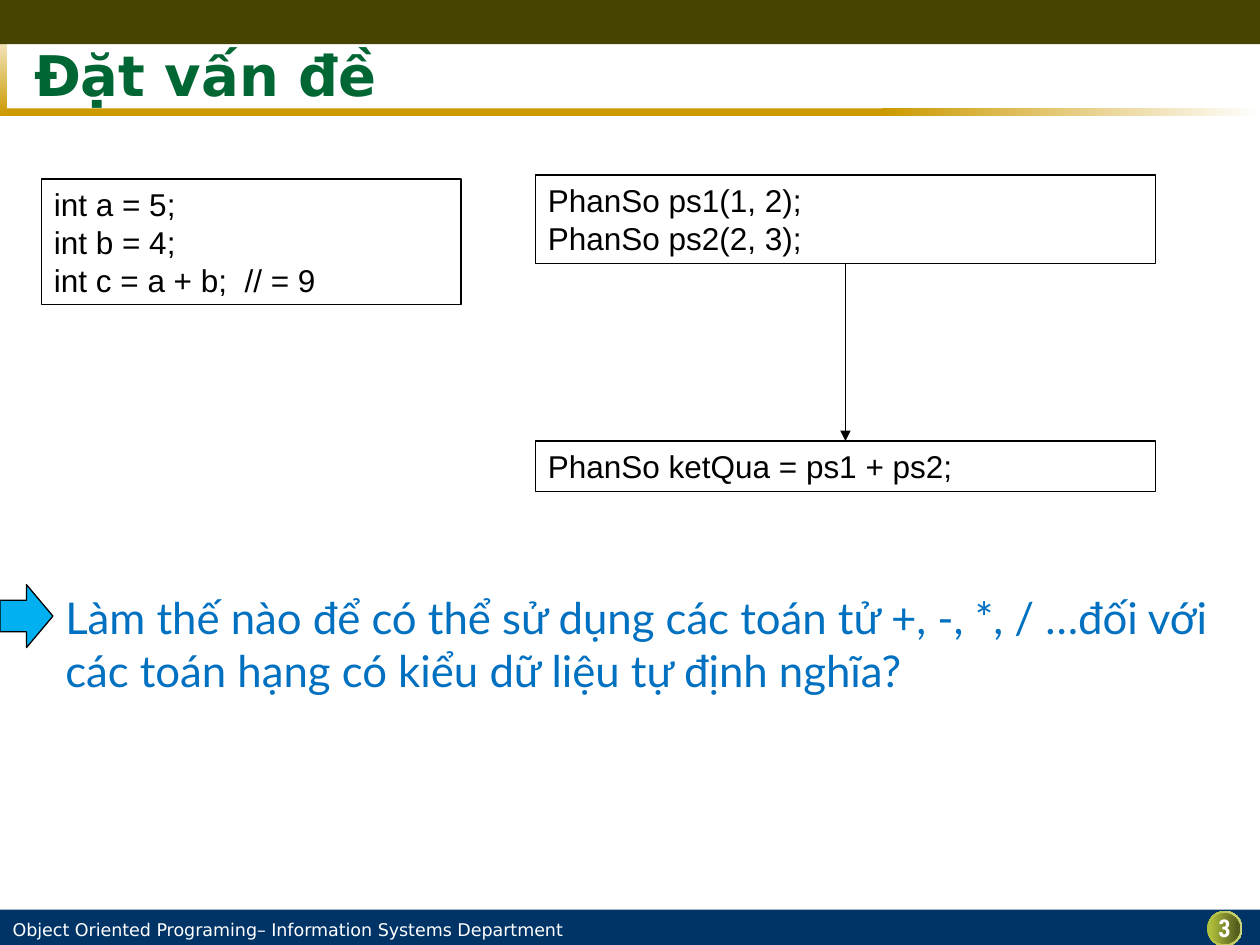
"""Build the slide that asks how operators can work on user-defined types."""
from lxml.etree import SubElement
from pptx import Presentation
from pptx.dml.color import RGBColor
from pptx.enum.shapes import MSO_CONNECTOR, MSO_SHAPE
from pptx.enum.text import MSO_ANCHOR, PP_ALIGN
from pptx.oxml.ns import qn
from pptx.util import Inches, Pt

WIDTH, HEIGHT = 10, 7.5
TITLE = "Đặt vấn đề"
FOOTER = "Object Oriented Programing– Information Systems Department"
NUMBER = "3"
QUESTION = ("Làm thế nào để có thể sử dụng các toán tử +, -, *, / …đối với "
            "các toán hạng có kiểu dữ liệu tự định nghĩa?")
CODE = {
    "integers": (["int a = 5;", "int b = 4;", "int c = a + b;  // = 9"], (0.33, 1.42, 3.33, 1)),
    "fractions": (["PhanSo ps1(1, 2);", "PhanSo ps2(2, 3);"], (4.25, 1.39, 4.92, 0.7)),
    "result": (["PhanSo ketQua = ps1 + ps2;"], (4.25, 3.5, 4.92, 0.4)),
}

RULE_TOP, RULE_HEIGHT, RULE_SPLIT = 0.86, 0.06, 0.7 * WIDTH
FOOTER_HEIGHT = 0.28
QUESTION_TOP, QUESTION_LEFT = 4.64, 0.42
GOLD, WHITE, BLACK, OLIVE = "CC9900", "FFFFFF", "000000", "AFBE3C"
BANDS = [
    ((0, RULE_TOP, RULE_SPLIT, RULE_HEIGHT), [GOLD], 0),
    ((0, 0.13, 0.06, 0.79), [WHITE, GOLD], 270),
    ((RULE_SPLIT, RULE_TOP, WIDTH - RULE_SPLIT, RULE_HEIGHT), [GOLD, WHITE], 0),
    ((0, 0, WIDTH, 0.35), ["464400"], 0),
    ((0, HEIGHT - FOOTER_HEIGHT, WIDTH, FOOTER_HEIGHT), ["003366"], 0),
]
BADGE_CENTER = (9.72, 7.37)
BADGE_RINGS = [(0.28, WHITE), (0.28, "CAD47D"), (0.24, "5F6720"),
               (0.24, "555C1D"), (0.22, "51581C")]

CODE_FONT = {"name": "Arial", "size": Pt(18)}
TITLE_FONT = {"name": "DejaVu Sans", "size": Pt(32), "bold": True}
FOOTER_FONT = {"name": "DejaVu Sans", "size": Pt(10)}
NUMBER_FONT = {"name": "Roboto Condensed", "size": Pt(14), "bold": True}
QUESTION_FONT = {"name": "Lato", "size": Pt(25)}


def rgb(value):
    return RGBColor.from_string(value)


def inches(values):
    return [Inches(value) for value in values]


def add_figure(page, kind, place, colors=(), angle=0, outline=None):
    figure = page.shapes.add_shape(kind, *inches(place))
    figure.shadow.inherit = False
    if len(colors) == 2:
        figure.fill.gradient()
        figure.fill.gradient_angle = angle
        for stop, color in zip(figure.fill.gradient_stops, colors):
            stop.color.rgb = rgb(color)
    elif colors:
        figure.fill.solid()
        figure.fill.fore_color.rgb = rgb(colors[0])
    else:
        figure.fill.background()
    if outline:
        figure.line.color.rgb = rgb(outline)
        figure.line.width = Pt(0.75)
    else:
        figure.line.fill.background()
    return figure


def write(box, lines, font, color, margins=(0.1, 0.05), align=PP_ALIGN.LEFT,
          anchor=MSO_ANCHOR.TOP):
    frame = box.text_frame
    side, edge = inches(margins)
    layout = {"word_wrap": True, "vertical_anchor": anchor, "margin_left": side,
              "margin_right": side, "margin_top": edge, "margin_bottom": edge}
    for name, value in layout.items():
        setattr(frame, name, value)
    for index, line in enumerate(lines):
        para = frame.add_paragraph() if index else frame.paragraphs[0]
        para.alignment = align
        span = para.add_run()
        span.text = line
        for name, value in font.items():
            setattr(span.font, name, value)
        span.font.color.rgb = rgb(color)


def add_text(page, place, *content, **options):
    write(page.shapes.add_textbox(*inches(place)), *content, **options)


def add_arrow(page, source, target):
    arrow = page.shapes.add_connector(MSO_CONNECTOR.STRAIGHT, 0, 0, 0, 0)
    arrow.begin_connect(source, 2)
    arrow.end_connect(target, 0)
    arrow.line.color.rgb = rgb(BLACK)
    arrow.line.width = Pt(0.75)
    SubElement(arrow.line._get_or_add_ln(), qn("a:tailEnd"), type="triangle")
    SubElement(arrow._element.spPr, qn("a:effectLst"))


def add_frame(page):
    for place, colors, angle in BANDS:
        add_figure(page, MSO_SHAPE.RECTANGLE, place, colors, angle)
    add_text(page, (0.08, 7.29, 5.15, 0.17), [FOOTER], FOOTER_FONT, WHITE, margins=(0.02, 0))
    for size, color in BADGE_RINGS:
        left, top = (middle - size / 2 for middle in BADGE_CENTER)
        add_figure(page, MSO_SHAPE.OVAL, (left, top, size, size), [OLIVE, color])
    add_text(page, (9.47, 7.25, 0.5, 0.27), [NUMBER], NUMBER_FONT, WHITE,
             margins=(0, 0), align=PP_ALIGN.CENTER)


def add_title(page):
    title = page.shapes.title
    title.left, title.top, title.width, title.height = inches((0.17, 0.25, 9.67, 0.67))
    write(title, [TITLE], TITLE_FONT, "006633", anchor=MSO_ANCHOR.MIDDLE)
    page.shapes._spTree.append(title._element)


def add_content(page):
    boxes = {}
    for name, (lines, place) in CODE.items():
        boxes[name] = add_figure(page, MSO_SHAPE.RECTANGLE, place, outline=BLACK)
        write(boxes[name], lines, CODE_FONT, BLACK)
    add_arrow(page, boxes["fractions"], boxes["result"])
    add_text(page, (QUESTION_LEFT, QUESTION_TOP, 9.33, 0.94), [QUESTION], QUESTION_FONT, "0070C0")
    add_figure(page, MSO_SHAPE.RIGHT_ARROW, (0, QUESTION_TOP, QUESTION_LEFT, 0.5),
               ["00B0F0"], outline=BLACK)


def main():
    deck = Presentation()
    deck.slide_width, deck.slide_height = inches((WIDTH, HEIGHT))
    page = deck.slides.add_slide(deck.slide_layouts[5])
    add_frame(page)
    add_title(page)
    add_content(page)
    deck.save("out.pptx")


if __name__ == "__main__":
    main()
